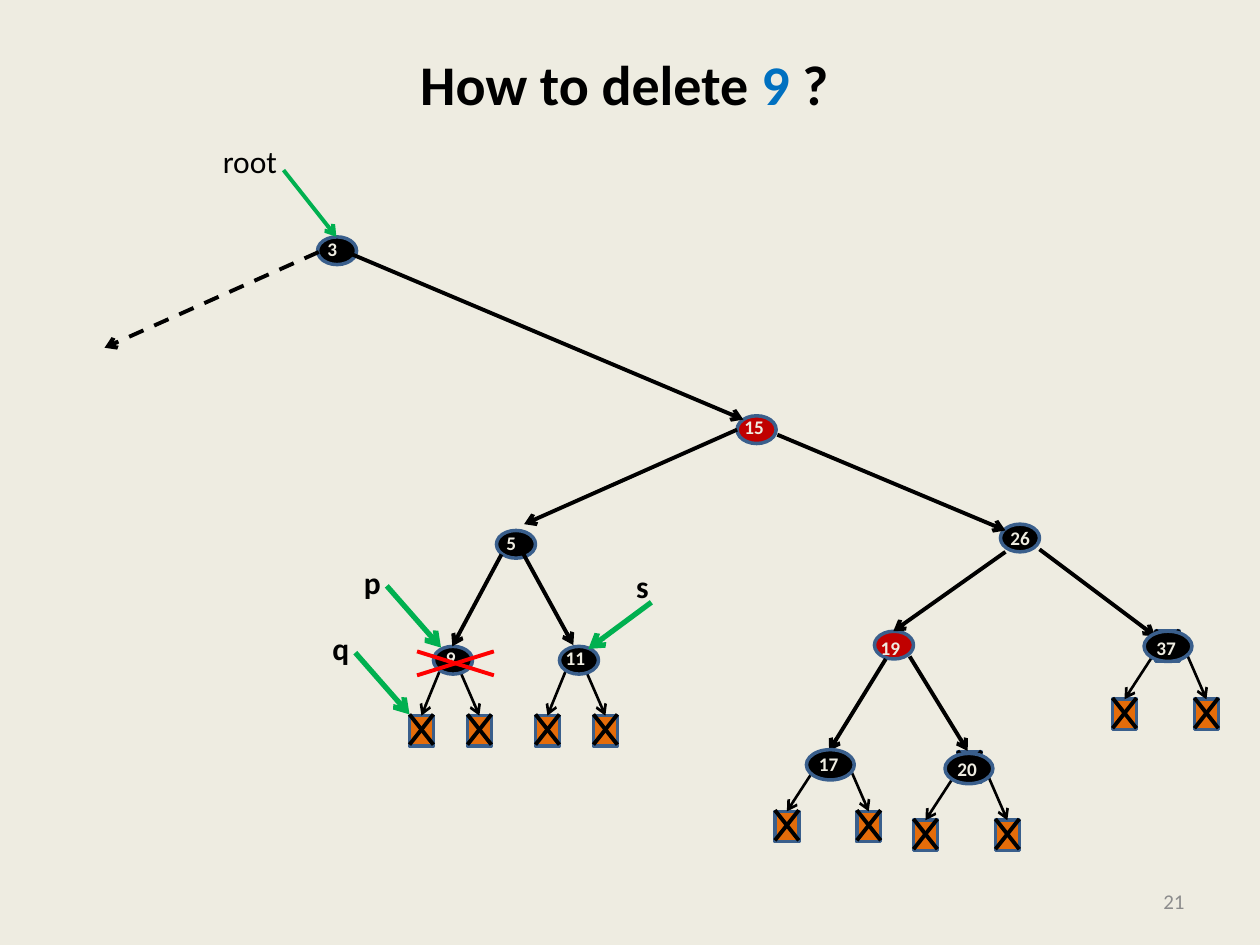
from lxml.etree import SubElement
from pptx import Presentation
from pptx.dml.color import RGBColor
from pptx.enum.dml import MSO_LINE
from pptx.enum.shapes import MSO_CONNECTOR, MSO_SHAPE
from pptx.enum.text import MSO_ANCHOR, MSO_AUTO_SIZE, PP_ALIGN
from pptx.oxml.ns import qn
from pptx.util import Inches, Pt

CREAM = RGBColor(0xEE, 0xEC, 0xE1)
BLACK = RGBColor(0x00, 0x00, 0x00)
RED_NODE = RGBColor(0xC0, 0x00, 0x00)
ORANGE = RGBColor(0xE4, 0x6C, 0x0A)
OUTLINE = RGBColor(0x3A, 0x5F, 0x8C)
GREEN = RGBColor(0x00, 0xB0, 0x50)
BLUE = RGBColor(0x00, 0x70, 0xC0)
RED = RGBColor(0xFF, 0x00, 0x00)
GRAY = RGBColor(0x8C, 0x8C, 0x8C)

KEY_FONT = {"name": "Calibri", "size": Pt(11), "bold": True}
TITLE_FONT = {"name": "Calibri", "size": Pt(32), "bold": True}
POINTER_FONT = {"name": "Calibri", "size": Pt(18), "bold": True}
ROOT_FONT = {"name": "Calibri", "size": Pt(18), "bold": False}
NUMBER_FONT = {"name": "Calibri", "size": Pt(12), "bold": False}

LEAF_SIZE = (0.19, 0.24)
SMALL_NODE = (0.31, 0.22)
WIDE_NODE = (0.38, 0.24)
SMALL_LEAVES = {"offsets": (-0.19, 0.27), "starts": ((0.06, -0.38), (0.20, -0.38))}
WIDE_LEAVES = {"offsets": (-0.25, 0.40), "starts": ((0.06, -0.33), (0.33, -0.38))}

SMALL_NODES = [
    ("15", (5.85, 3.30), RED_NODE, (5.81, 3.25, 0.36, 0.29)),
    ("26", (7.94, 4.16), BLACK, (7.92, 4.13, 0.36, 0.29)),
    ("19", (6.94, 5.01), RED_NODE, (6.89, 5.00, 0.36, 0.29)),
    ("5", (3.94, 4.21), BLACK, (3.92, 4.17, 0.28, 0.29)),
    ("9", (3.44, 5.13), BLACK, (3.44, 5.08, 0.28, 0.29)),
    ("11", (4.44, 5.13), BLACK, (4.39, 5.08, 0.36, 0.29)),
    ("3", (2.52, 1.88), BLACK, (2.50, 1.83, 0.28, 0.29)),
]
WIDE_NODES = [
    ("37", (9.08, 5.01), 0.54, (9.08, 5.00, 0.43, 0.29)),
    ("20", (7.50, 5.98), 0.53, (7.50, 5.96, 0.43, 0.29)),
    ("17", (6.40, 5.95), 0.49, (6.40, 5.92, 0.43, 0.29)),
]
EDGES = [
    ((2.75, 2.00), (5.90, 3.33)),
    ((5.85, 3.41), (4.16, 4.16)),
    ((6.17, 3.45), (7.98, 4.21)),
    ((3.98, 4.40), (3.59, 5.13)),
    ((4.15, 4.39), (4.55, 5.12)),
    ((7.98, 4.38), (7.09, 5.01)),
    ((8.25, 4.36), (9.17, 5.05)),
    ((7.03, 5.23), (6.58, 5.96)),
    ((7.22, 5.21), (7.68, 5.96)),
]
POINTERS = [
    ("root", (1.67, 1.08, 0.64, 0.40), (2.25, 1.35), (2.67, 1.88), 2.25, ROOT_FONT),
    ("p", (2.79, 4.42, 0.28, 0.36), (3.07, 4.65), (3.50, 5.14), 3, POINTER_FONT),
    ("q", (2.54, 4.94, 0.28, 0.36), (2.82, 5.18), (3.25, 5.67), 3, POINTER_FONT),
    ("s", (4.95, 4.45, 0.30, 0.40), (5.17, 4.78), (4.67, 5.15), 3, POINTER_FONT),
]


def inches(values):
    """Turn a sequence of numbers into lengths."""
    return [Inches(value) for value in values]


def add_run(paragraph, text, color, font_format):
    """Append formatted text to a paragraph."""
    run = paragraph.add_run()
    run.text = text
    run.font.color.rgb = color
    for attribute, value in font_format.items():
        setattr(run.font, attribute, value)


def add_label(slide, box, text, color, font_format, wrap=False):
    """Place a one-line label in its box."""
    label = slide.shapes.add_textbox(*inches(box))
    label.text_frame.word_wrap = wrap
    label.text_frame.auto_size = MSO_AUTO_SIZE.SHAPE_TO_FIT_TEXT
    add_run(label.text_frame.paragraphs[0], text, color, font_format)
    return label


def add_line(slide, start, end, color=BLACK, width=2.25, arrow=True, dashed=False):
    """Draw a straight line, with an arrowhead at its end if wanted."""
    line = slide.shapes.add_connector(MSO_CONNECTOR.STRAIGHT, *inches(start + end))
    line.line.color.rgb = color
    line.line.width = Pt(width)
    if dashed:
        line.line.dash_style = MSO_LINE.DASH
    if arrow:
        SubElement(line.line._get_or_add_ln(), qn("a:tailEnd"), type="arrow")
    SubElement(line._element.spPr, qn("a:effectLst"))
    return line


def add_outlined(slide, preset, box, fill):
    """Draw a filled shape with the tree's outline."""
    shape = slide.shapes.add_shape(preset, *inches(box))
    shape.shadow.inherit = False
    shape.fill.solid()
    shape.fill.fore_color.rgb = fill
    shape.line.color.rgb = OUTLINE
    shape.line.width = Pt(2)
    return shape


def add_leaf(slide, left, top):
    """Draw an empty leaf, crossed corner to corner."""
    width, height = LEAF_SIZE
    leaf = add_outlined(slide, MSO_SHAPE.RECTANGLE, (left, top, width, height), ORANGE)
    upper, lower = top - 0.01, top - 0.01 + height
    add_line(slide, (left + width, upper), (left, lower), arrow=False)
    add_line(slide, (left, upper), (left + width, lower), arrow=False)
    return leaf


def add_leaf_pair(slide, node_corner, drop, spread):
    """Hang two leaves below a node, each joined by an arrow."""
    left, top = node_corner
    for offset, (dx, dy) in zip(spread["offsets"], spread["starts"]):
        leaf = add_leaf(slide, left + offset, top + drop)
        start = (left + dx, top + drop + dy)
        branch = add_line(slide, start, (left + offset, top + drop), width=1.5)
        branch.end_connect(leaf, 0)


def add_title(slide, box):
    """Place the heading in the title placeholder."""
    title = slide.shapes.title
    title.left, title.top, title.width, title.height = inches(box)
    frame = title.text_frame
    frame.vertical_anchor = MSO_ANCHOR.MIDDLE
    frame.margin_bottom = Inches(0.58)
    heading = frame.paragraphs[0]
    heading.alignment = PP_ALIGN.CENTER
    for text, color in (("How to delete ", BLACK), ("9 ", BLUE), ("?", BLACK)):
        add_run(heading, text, color, TITLE_FONT)


def add_page_number(slide, box):
    """Place the page number at the right of its box."""
    number = add_label(slide, box, "21", GRAY, NUMBER_FONT, wrap=True)
    number.text_frame.auto_size = MSO_AUTO_SIZE.NONE
    number.text_frame.vertical_anchor = MSO_ANCHOR.MIDDLE
    number.text_frame.paragraphs[0].alignment = PP_ALIGN.RIGHT


def add_tree(slide):
    """Draw leaves, nodes, edges and keys of the search tree."""
    for corner in ((7.60, 5.97), (9.17, 5.01)):
        add_leaf(slide, *corner)
    for key, corner, color, _ in SMALL_NODES:
        if key in ("9", "11"):
            add_leaf_pair(slide, corner, 0.55, SMALL_LEAVES)
        add_outlined(slide, MSO_SHAPE.OVAL, corner + SMALL_NODE, color)
    for start, end in EDGES:
        add_line(slide, start, end)
    add_line(slide, (2.53, 2.00), (0.83, 2.76), dashed=True)
    for key, _, _, label_box in SMALL_NODES:
        add_label(slide, label_box, key, CREAM, KEY_FONT)
    for key, corner, drop, label_box in WIDE_NODES:
        add_leaf_pair(slide, corner, drop, WIDE_LEAVES)
        add_outlined(slide, MSO_SHAPE.OVAL, corner + WIDE_NODE, BLACK)
        add_label(slide, label_box, key, CREAM, KEY_FONT, wrap=True)


def add_pointers(slide):
    """Draw the named green pointers."""
    for name, box, start, end, width, font_format in POINTERS:
        add_line(slide, start, end, GREEN, width)
        add_label(slide, box, name, BLACK, font_format)


def add_deletion_mark(slide, box):
    """Strike out the deleted node with a red cross."""
    left, top, width, height = box
    add_line(slide, (left, top + height), (left + width, top), RED, arrow=False)
    add_line(slide, (left, top), (left + width, top + height), RED, arrow=False)


def main():
    """Build and save the slide."""
    deck = Presentation()
    deck.slide_width, deck.slide_height = Inches(10), Inches(7.5)
    slide = deck.slides.add_slide(deck.slide_layouts[5])
    slide.background.fill.solid()
    slide.background.fill.fore_color.rgb = CREAM
    add_title(slide, (0.08, 0.30, 9.75, 1.25))
    add_page_number(slide, (7.17, 6.95, 2.33, 0.40))
    add_tree(slide)
    add_pointers(slide)
    add_deletion_mark(slide, (3.31, 5.17, 0.61, 0.19))
    deck.save("out.pptx")


if __name__ == "__main__":
    main()
